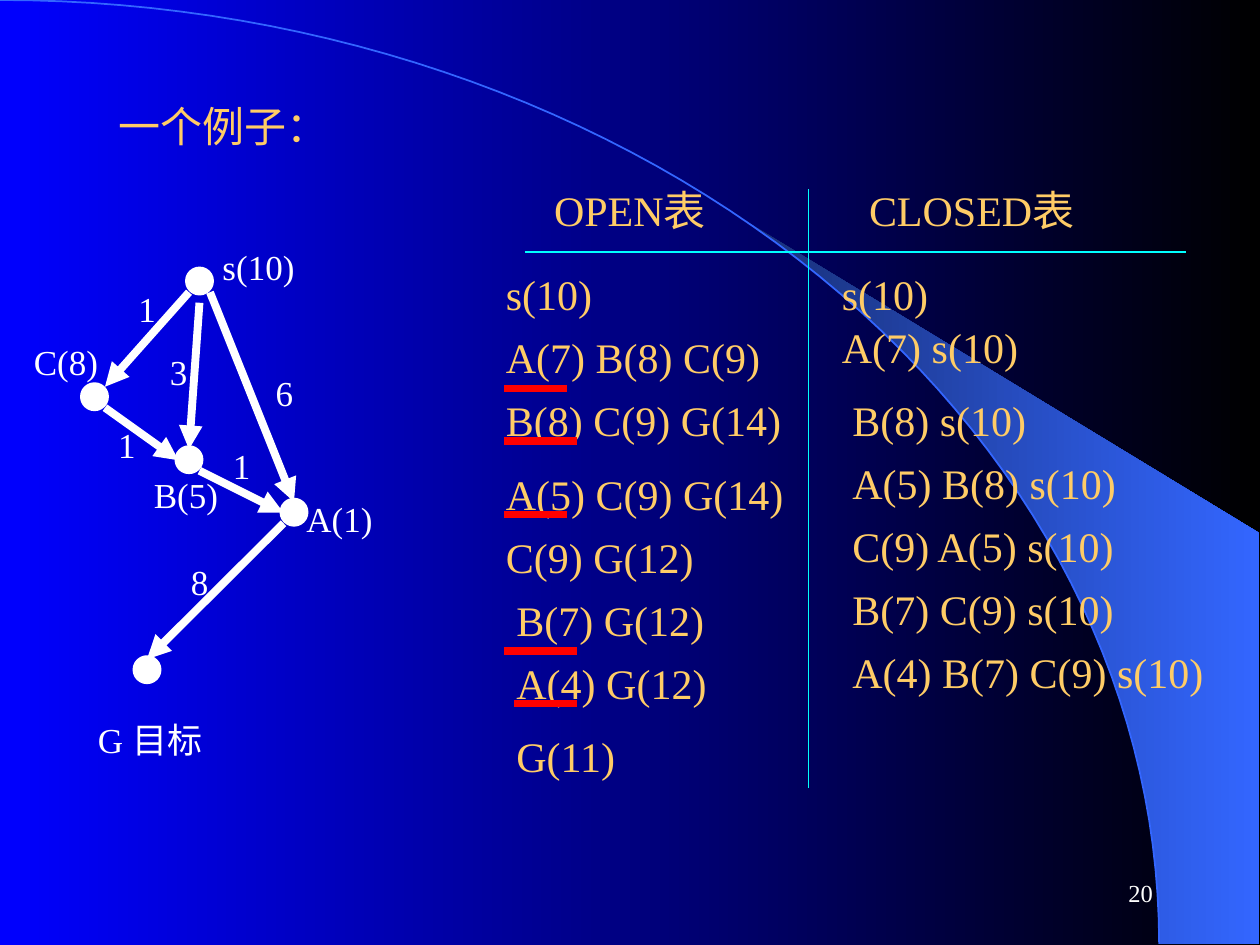
from dataclasses import dataclass
from math import cos, radians, sin

from lxml.etree import SubElement
from pptx import Presentation
from pptx.dml.color import RGBColor as Rgb
from pptx.enum.shapes import MSO_CONNECTOR as Connector, MSO_SHAPE as Preset
from pptx.enum.text import MSO_ANCHOR as Anchor, MSO_AUTO_SIZE as Fit, PP_ALIGN as Align
from pptx.oxml.ns import qn
from pptx.util import Pt


@dataclass(frozen=True)
class Theme:
    font: str = "Times New Roman"
    white: str = "FFFFFF"
    gold: str = "FFCC66"
    cyan: str = "00FFFF"
    red: str = "FF0000"
    blue: str = "0000FF"
    black: str = "000000"
    arc: str = "3366FF"
    wedge: str = "182F76"
    body: int = 24
    label: int = 20
    number: int = 14
    thick: float = 4.5
    thin: float = 0.75


class Board:
    def __init__(self, slide, theme):
        self.slide = slide
        self.theme = theme

    def gradient(self, fill, *colors):
        fill.gradient()
        fill.gradient_angle = 0
        for stop, color, position in zip(fill.gradient_stops, colors, (0, 1)):
            stop.color.rgb = Rgb.from_string(color)
            stop.position = position

    def stroke(self, line, color, width):
        line.color.rgb = Rgb.from_string(color)
        line.width = Pt(width)

    def outline(self, points, closed):
        corners = [(Pt(x), Pt(y)) for x, y in points]
        builder = self.slide.shapes.build_freeform(*corners[0], scale=1.0)
        builder.add_line_segments(corners[1:], close=closed)
        curve = builder.convert_to_shape()
        curve.shadow.inherit = False
        return curve

    def node(self, left, top, size=12):
        dot = self.slide.shapes.add_shape(Preset.OVAL, Pt(left), Pt(top), Pt(size), Pt(size))
        dot.shadow.inherit = False
        dot.fill.solid()
        dot.fill.fore_color.rgb = Rgb.from_string(self.theme.white)
        self.stroke(dot.line, self.theme.white, self.theme.thick)
        return dot

    def line(self, start, end, color, width):
        rule = self.slide.shapes.add_connector(
            Connector.STRAIGHT, *(Pt(value) for value in (*start, *end)))
        self.stroke(rule.line, color, width)
        SubElement(rule._element.spPr, qn("a:effectLst"))
        return rule

    def arrow(self, start, end, target=None):
        edge = self.line(start, end, self.theme.white, self.theme.thick)
        SubElement(edge.line._get_or_add_ln(), qn("a:tailEnd"), type="triangle")
        if target is not None:
            edge.end_connect(target, 0)

    def text(self, words, left, top, width, height=36, size=None, color=None,
             align=Align.LEFT, wrap=False):
        box = self.slide.shapes.add_textbox(Pt(left), Pt(top), Pt(width), Pt(height))
        frame = box.text_frame
        frame.word_wrap = wrap
        frame.auto_size = Fit.NONE if wrap else Fit.SHAPE_TO_FIT_TEXT
        frame.vertical_anchor = Anchor.MIDDLE
        paragraph = frame.paragraphs[0]
        paragraph.alignment = align
        run = paragraph.add_run()
        run.text = words
        run.font.name = self.theme.font
        run.font.size = Pt(size or self.theme.body)
        run.font.color.rgb = Rgb.from_string(color or self.theme.gold)

    def label(self, words, left, top, width=24.5, align=Align.LEFT):
        self.text(words, left, top, width, 31.5, self.theme.label, self.theme.white, align)


def sweep(first, last, steps=60):
    angles = [radians(first + (last - first) * step / steps) for step in range(steps + 1)]
    return [(662.4 * sin(angle), 539.3 * (1 - cos(angle))) for angle in angles]


def draw_backdrop(board):
    theme = board.theme
    board.gradient(board.slide.background.fill, theme.blue, theme.black)
    wedge = board.outline(sweep(39.8, 90) + [(719.3, 539.3), (719.3, 304.5)], True)
    board.gradient(wedge.fill, theme.wedge, theme.arc)
    wedge.line.fill.background()
    arc = board.outline(sweep(0, 90), False)
    arc.fill.background()
    board.stroke(arc.line, theme.arc, 1)
    board.text("20", 516, 492, 150, 36, theme.number, theme.white, Align.RIGHT, True)


def draw_graph(board):
    places = {"s": (108, 154.6), "C": (48, 220.7), "B": (102, 256.7),
              "A": (162, 286.7), "G": (78, 376.7)}
    nodes = {name: board.node(*place) for name, place in places.items()}
    for start, end, target in (
        ((108, 167), (60, 221), None),
        ((114, 173), (108, 257), "B"),
        ((120, 167), (168, 287), "A"),
        ((162, 299), (84, 377), "G"),
        ((60, 233), (102, 263), None),
        ((114, 269), (162, 293), None),
    ):
        board.arrow(start, end, nodes.get(target))
    for name, left, top, width in (
        ("s(10)", 119, 136.5, 57.5),
        ("A(1)", 167, 280.5, 54),
        ("B(5)", 79.8, 267, 53),
        ("C(8)", 11.2, 191, 53),
        ("G 目标", 45.5, 407, 80.5),
    ):
        board.label(name, left, top, width, Align.CENTER)
    for cost, left, top in (
        ("6", 150.5, 208.5), ("3", 90, 196.5), ("1", 72, 160.5),
        ("1", 60.5, 238.5), ("1", 126, 250.5), ("8", 102, 316.5),
    ):
        board.label(cost, left, top)


def draw_lists(board):
    theme = board.theme
    board.text("一个例子：", 60.5, 54, 138)
    board.line((300, 144), (678, 144), theme.cyan, theme.thin)
    board.line((462, 108), (462, 450), theme.cyan, theme.thin)
    board.text("OPEN表", 309.5, 102, 112)
    board.text("CLOSED表", 489.5, 102, 142)
    for entry, left, top, width in (
        ("s(10)", 282, 150, 66),
        ("A(7) B(8) C(9)", 282, 186, 164),
        ("B(8) C(9) G(14)", 282, 222, 176),
        ("A(5) C(9) G(14)", 282, 264, 177),
        ("C(9) G(12)", 282, 300, 125),
        ("B(7) G(12)", 288, 336, 125),
        ("A(4) G(12)", 288, 372, 127),
        ("G(11)", 288, 414, 75),
        ("s(10)", 474, 150, 66),
        ("A(7) s(10)", 474, 180, 119),
        ("B(8) s(10)", 480, 222, 118),
        ("A(5) B(8) s(10)", 480, 258, 169),
        ("C(9) A(5) s(10)", 480, 294, 169),
        ("B(7) C(9) s(10)", 480, 330, 168),
        ("A(4) B(7) C(9) s(10)", 480, 366, 220),
    ):
        board.text(entry, left, top, width)
    for left, right, height in (
        (288, 324, 222), (288, 324, 294), (294, 330, 402), (288, 330, 252), (288, 330, 372),
    ):
        board.line((left, height), (right, height), theme.red, theme.thick)


def main():
    deck = Presentation()
    deck.slide_width, deck.slide_height = Pt(720), Pt(540)
    board = Board(deck.slides.add_slide(deck.slide_layouts[6]), Theme())
    draw_backdrop(board)
    draw_graph(board)
    draw_lists(board)
    deck.save("out.pptx")


if __name__ == "__main__":
    main()
